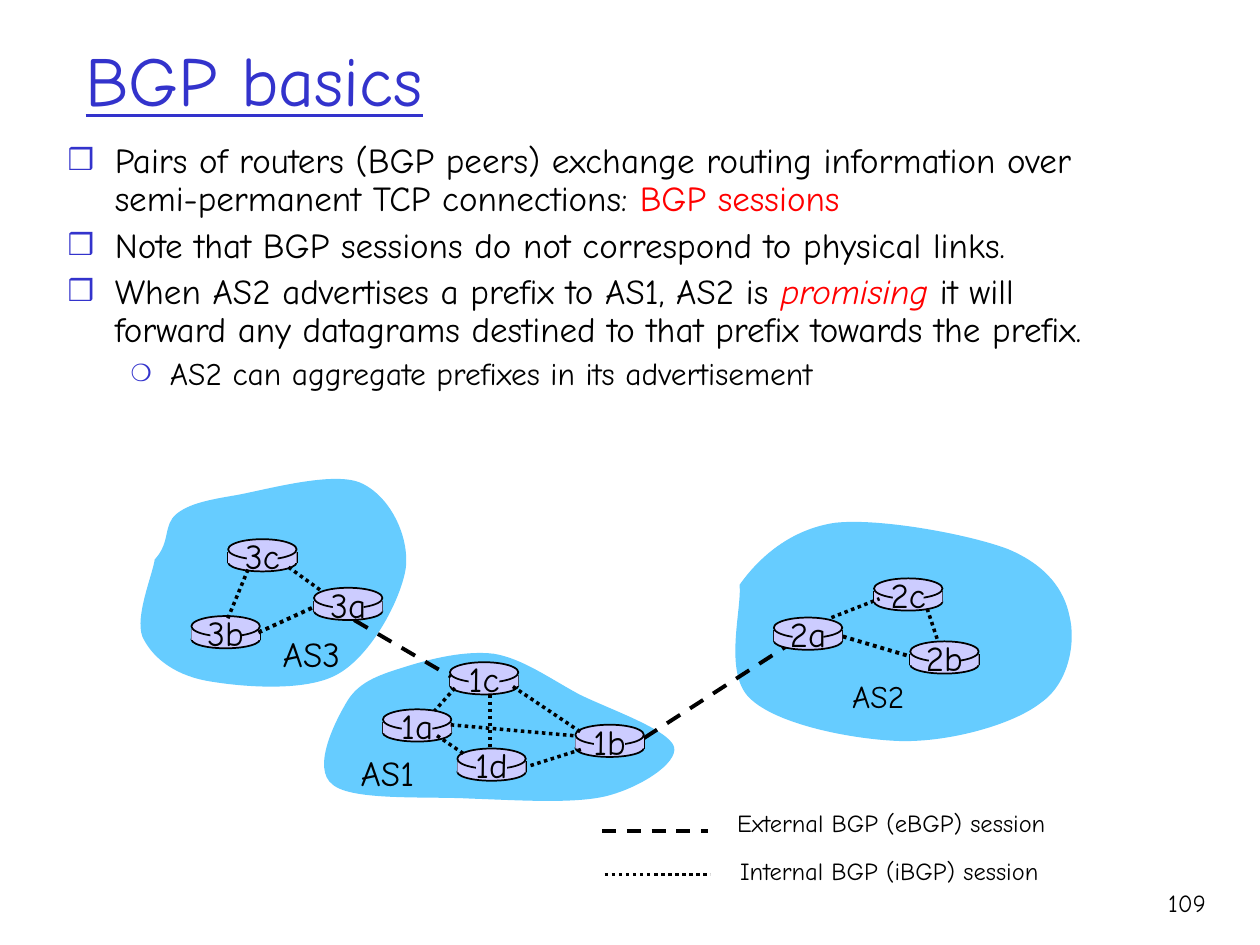
import pptx
import pptx.dml.color
import pptx.enum.dml
import pptx.enum.shapes
import pptx.enum.text
import pptx.oxml
import pptx.oxml.ns
import pptx.util

Cm = pptx.util.Cm
Pt = pptx.util.Pt
RGBColor = pptx.dml.color.RGBColor
SHAPE = pptx.enum.shapes.MSO_SHAPE
DASH = pptx.enum.dml.MSO_LINE
ALIGN = pptx.enum.text.PP_ALIGN
ANCHOR = pptx.enum.text.MSO_ANCHOR
AUTO = pptx.enum.text.MSO_AUTO_SIZE

BLACK = RGBColor(0x00, 0x00, 0x00)
BLUE = RGBColor(0x33, 0x33, 0xCC)
RED = RGBColor(0xFF, 0x00, 0x00)
CLOUD = RGBColor(0x66, 0xCC, 0xFF)
ROUTER = RGBColor(0xCC, 0xCC, 0xFF)
FONT = "Comic Neue"

LEVELS = [
    {"marL": Cm(0.95), "indent": -Cm(0.95), "char": "❒", "pct": 85000, "before": 5, "size": 20},
    {"marL": Cm(2.06), "indent": -Cm(0.79), "char": "❍", "pct": 75000, "before": 4.5, "size": 18},
]

BULLETS = [
    (0, [("Pairs of routers (BGP peers) exchange routing information over "
          "semi-permanent TCP connections: ", {}),
         ("BGP sessions", {"color": RED})]),
    (0, [("Note that BGP sessions do not correspond to physical links.", {})]),
    (0, [("When AS2 advertises a prefix to AS1, AS2 is ", {}),
         ("promising", {"color": RED, "italic": True}),
         (" it will forward any datagrams destined to that prefix towards the prefix.", {})]),
    (1, [("AS2 can aggregate prefixes in its advertisement", {})]),
]

CLOUDS = {
    "AS2": [(14.91, 11.79), (15.29, 11.25), (15.93, 10.67), (16.84, 10.54),
            (17.73, 10.44), (19.53, 10.77), (20.32, 11.07), (21.11, 11.4),
            (21.46, 11.91), (21.56, 12.42), (21.69, 12.93), (21.56, 13.77),
            (20.98, 14.17), (20.42, 14.61), (19.15, 14.96), (18.16, 14.94),
            (17.2, 14.91), (15.65, 14.61), (15.11, 14.07), (14.58, 13.56),
            (14.96, 12.27), (14.91, 11.79)],
    "AS3": [(3.12, 11.28), (3.45, 10.92), (3.28, 10.59), (3.56, 10.36),
            (3.81, 10.16), (4.17, 10.08), (4.78, 9.98), (5.41, 9.86),
            (6.71, 9.5), (7.26, 9.73), (7.85, 9.98), (8.26, 10.8),
            (8.18, 11.46), (8.08, 12.09), (7.49, 13.21), (6.81, 13.59),
            (6.15, 13.97), (4.78, 13.84), (4.14, 13.72), (3.48, 13.59),
            (3.05, 13.23), (2.87, 12.83), (2.72, 12.42), (3.07, 11.61), (3.12, 11.28)],
    "AS1": [(7.01, 14.12), (7.26, 13.72), (7.7, 13.59), (8.18, 13.44),
            (8.69, 13.28), (9.37, 13.11), (9.96, 13.18), (10.54, 13.28),
            (11.07, 13.67), (11.68, 14), (12.29, 14.3), (13.49, 14.71),
            (13.59, 15.06), (13.67, 15.39), (12.9, 15.88), (12.22, 16.05),
            (11.56, 16.21), (10.41, 16.13), (9.5, 16.1), (8.59, 16.05),
            (7.11, 16.15), (6.71, 15.82), (6.27, 15.49), (6.76, 14.53), (7.01, 14.12)],
}

BACK_ROUTERS = {"3b": (3.86, 12.42), "1d": (9.22, 15.09), "3a": (6.33, 11.85),
                "1c": (9.07, 13.35)}
FRONT_ROUTERS = {"2a": (15.6, 12.45), "1a": (7.72, 14.3), "2c": (17.62, 11.66),
                 "2b": (18.35, 12.93), "1b": (11.6, 14.61), "3c": (4.6, 10.87)}

BACK_SESSIONS = [
    (DASH.ROUND_DOT, [(16.99, 12.83, 18.34, 13.23), (5.21, 12.75, 6.32, 12.24)]),
    (DASH.DASH, [(7.14, 12.5, 9.09, 13.64), (12.98, 14.88, 15.85, 13.03)]),
]
FRONT_SESSIONS = [
    (DASH.ROUND_DOT, [
        (9.17, 13.87, 8.76, 14.33), (9.88, 14, 9.88, 15.06), (10.34, 13.84, 11.71, 14.76),
        (11.71, 15.11, 10.67, 15.44), (11.56, 14.83, 9.07, 14.61),
        (16.76, 12.45, 17.73, 12.07), (6.45, 11.89, 5.77, 11.4), (5, 11.48, 4.57, 12.52),
        (18.69, 12.27, 18.9, 12.9), (8.81, 14.83, 9.37, 15.21), (12.19, 17.63, 14.32, 17.63)]),
    (DASH.DASH, [(12.14, 16.75, 14.28, 16.75)]),
]

LABELS = [
    ("AS3", (5.45, 12.62, 1.75, 1.12), 20), ("AS1", (7.02, 15.02, 1.67, 1.12), 20),
    ("AS2", (16.93, 13.53, 1.65, 1.02), 18),
    ("External BGP (eBGP) session", (14.61, 16.17, 6.83, 0.86), 14),
    ("Internal BGP (iBGP) session", (14.67, 17.14, 6.63, 0.86), 14),
]


def place(sp, box):
    for name, value in zip(("left", "top", "width", "height"), box):
        setattr(sp, name, Cm(value))


def add_run(p, text, size, color=BLACK, **fmt):
    r = p.add_run()
    r.text = text
    r.font.color.rgb = color
    for name, value in {"name": FONT, "size": Pt(size), **fmt}.items():
        setattr(r.font, name, value)


def add_bullet(p, level, runs):
    fmt = LEVELS[level]
    values = {"level": level, "line_spacing": 0.9, "space_before": Pt(fmt["before"])}
    for name, value in values.items():
        setattr(p, name, value)
    pPr = p._p.get_or_add_pPr()
    for name in ("marL", "indent"):
        pPr.set(name, str(int(fmt[name])))
    ns = pptx.oxml.ns.nsdecls("a")
    for xml in (f'<a:buClr {ns}><a:srgbClr val="{BLUE}"/></a:buClr>',
                f'<a:buSzPct {ns} val="{fmt["pct"]}"/>',
                f'<a:buChar {ns} char="{fmt["char"]}"/>'):
        pPr.append(pptx.oxml.parse_xml(xml))
    for text, style in runs:
        add_run(p, text, fmt["size"], **style)


def add_label(s, text, box, size, align=ALIGN.LEFT, wrap=False):
    tf = s.shapes.add_textbox(*map(Cm, box)).text_frame
    fmt = {"word_wrap": wrap, "auto_size": AUTO.NONE if wrap else AUTO.SHAPE_TO_FIT_TEXT}
    for name, value in fmt.items():
        setattr(tf, name, value)
    p = tf.paragraphs[0]
    p.alignment = align
    add_run(p, text, size)


def add_line(s, ends, width, dash=None):
    sp = s.shapes.add_connector(pptx.enum.shapes.MSO_CONNECTOR.STRAIGHT, *map(Cm, ends))
    sp.line.color.rgb = BLACK
    for name, value in {"width": Pt(width), "dash_style": dash}.items():
        setattr(sp.line, name, value)
    sp._element.spPr.append(
        pptx.oxml.parse_xml(f'<a:effectLst {pptx.oxml.ns.nsdecls("a")}/>'))


def add_sessions(s, sessions, width):
    for dash, lines in sessions:
        for ends in lines:
            add_line(s, ends, width, dash)


def paint(sp, color, outlined=False):
    sp.shadow.inherit = False
    sp.fill.solid()
    sp.fill.fore_color.rgb = color
    if outlined:
        sp.line.color.rgb = BLACK
        sp.line.width = Pt(1)
    else:
        sp.line.fill.background()


def add_part(s, kind, box, outlined=False):
    paint(s.shapes.add_shape(kind, *map(Cm, box)), ROUTER, outlined)


def add_routers(s, routers):
    for name, (x, y) in routers.items():
        add_part(s, SHAPE.OVAL, (x, y + 0.29, 1.38, 0.36), True)
        for side in (x, x + 1.38):
            add_line(s, (side, y + 0.26, side, y + 0.48), 1)
        add_part(s, SHAPE.RECTANGLE, (x, y + 0.26, 1.38, 0.22))
        add_part(s, SHAPE.OVAL, (x, y, 1.38, 0.41), True)
        add_part(s, SHAPE.RECTANGLE, (x + 0.38, y + 0.06, 0.62, 0.52))
        add_label(s, name, (x - 0.01, y - 0.22, 1.4, 1.12), 20, ALIGN.CENTER)


def add_cloud(s, points):
    builder = s.shapes.build_freeform(*map(Cm, points[0]))
    builder.add_line_segments([tuple(map(Cm, pt)) for pt in points[1:]], close=True)
    sp = builder.convert_to_shape()
    segments = sp._element.findall(".//" + pptx.oxml.ns.qn("a:lnTo"))
    for i in range(0, len(segments), 3):
        curve = pptx.oxml.parse_xml(f'<a:cubicBezTo {pptx.oxml.ns.nsdecls("a")}/>')
        segments[i].addprevious(curve)
        for segment in segments[i:i + 3]:
            curve.append(segment[0])
            segment.getparent().remove(segment)
    paint(sp, CLOUD)


def fill_title(sp):
    place(sp, (1.47, 0, 21.59, 3.18))
    sp.text_frame.vertical_anchor = ANCHOR.MIDDLE
    p = sp.text_frame.paragraphs[0]
    p.alignment = ALIGN.LEFT
    add_run(p, "BGP basics", 40, BLUE, underline=True)


def fill_body(sp):
    place(sp, (1.11, 2.77, 21.95, 6.43))
    tf = sp.text_frame
    tf.auto_size = AUTO.NONE
    for i, (level, runs) in enumerate(BULLETS):
        add_bullet(tf.add_paragraph() if i else tf.paragraphs[0], level, runs)


def main():
    prs = pptx.Presentation()
    prs.slide_width, prs.slide_height = Cm(25.4), Cm(19.05)
    s = prs.slides.add_slide(prs.slide_layouts[1])
    fill_title(s.shapes.title)
    fill_body(s.placeholders[1])
    for points in CLOUDS.values():
        add_cloud(s, points)
    add_routers(s, BACK_ROUTERS)
    add_sessions(s, BACK_SESSIONS, 2.25)
    add_routers(s, FRONT_ROUTERS)
    add_sessions(s, FRONT_SESSIONS, 2)
    for text, box, size in LABELS:
        add_label(s, text, box, size)
    add_label(s, "109", (22.68, 17.78, 1.88, 1.27), 14, ALIGN.RIGHT, True)
    prs.save("out.pptx")


if __name__ == "__main__":
    main()
